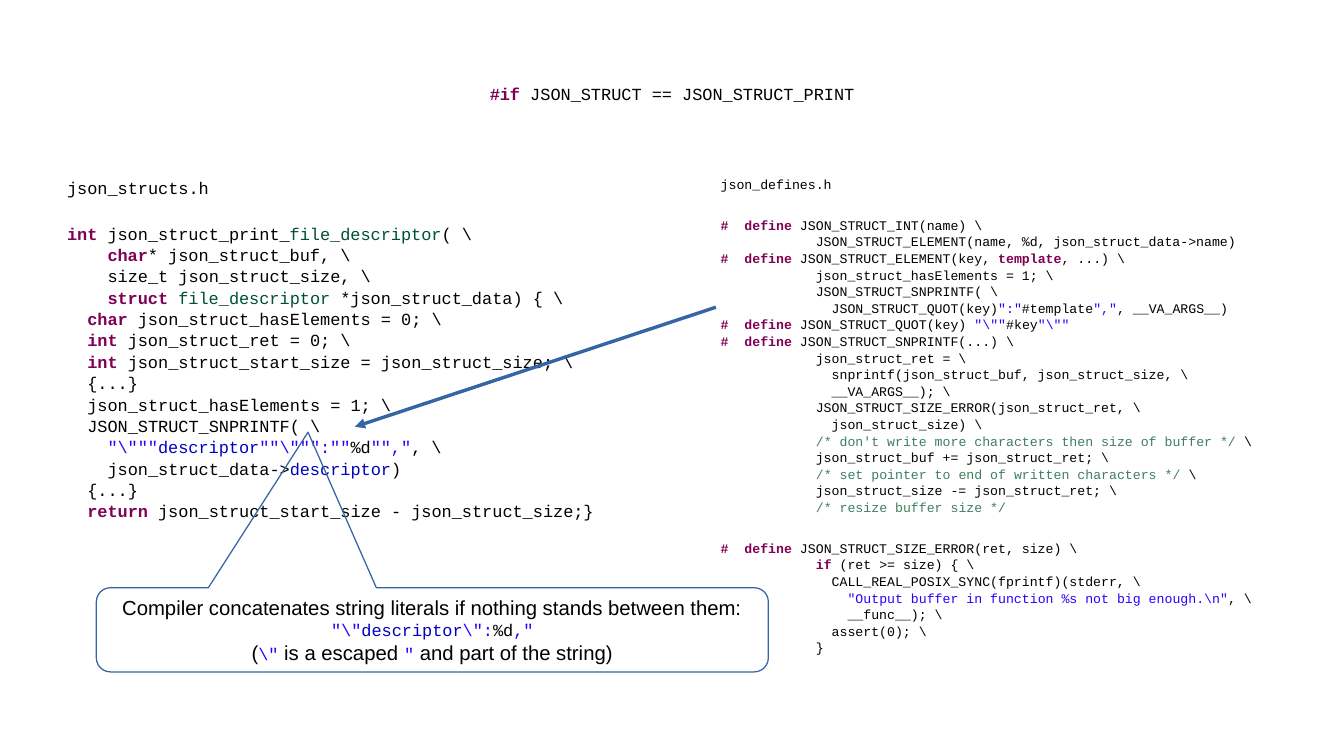
from lxml.etree import SubElement
from pptx import Presentation
from pptx.dml.color import RGBColor
from pptx.enum.shapes import MSO_CONNECTOR, MSO_SHAPE
from pptx.enum.text import MSO_ANCHOR, PP_ALIGN
from pptx.oxml.ns import qn
from pptx.util import Inches, Pt

# Content: "§" and a letter switch the style of the text that follows;
# each paragraph is a tuple of code blocks
TITLE = ("§k#if§n JSON_STRUCT == JSON_STRUCT_PRINT",)

STRUCTS = [("§njson_structs.h",), (r'''§kint §njson_struct_print_§tfile_descriptor§n( \
    §kchar§n* json_struct_buf, \
    size_t json_struct_size, \
    §kstruct §tfile_descriptor§n *json_struct_data) { \
  §kchar §njson_struct_hasElements = 0; \
  §kint §njson_struct_ret = 0; \
  §kint §njson_struct_start_size = json_struct_size; \
  {...}''', r'''§n  json_struct_hasElements = 1; \
  JSON_STRUCT_SNPRINTF( \
    §s"\"""§fdescriptor§s""\""":""§n%d§s"","§n, \
    json_struct_data->§fdescriptor§n)
  {...}
  §kreturn §njson_struct_start_size - json_struct_size;}''')]

DEFINES = [("§njson_defines.h",), (r'''§k#  define§n JSON_STRUCT_INT(name) \
            JSON_STRUCT_ELEMENT(name, %d, json_struct_data->name)
§k#  define§n JSON_STRUCT_ELEMENT(key, §ktemplate§n, ...) \
            json_struct_hasElements = 1; \
            JSON_STRUCT_SNPRINTF( \
              JSON_STRUCT_QUOT(key)§s":"§n#template§s","§n, __VA_ARGS__)
§k#  define§n JSON_STRUCT_QUOT(key) §s"\""§n#key§s"\""''',
                                    r'''§k#  define§n JSON_STRUCT_SNPRINTF(...) \
            json_struct_ret = \
              snprintf(json_struct_buf, json_struct_size, \
              __VA_ARGS__); \
            JSON_STRUCT_SIZE_ERROR(json_struct_ret, \
              json_struct_size) \
            §c/* don't write more characters then size of buffer */§n \
            json_struct_buf += json_struct_ret; \
            §c/* set pointer to end of written characters */§n \
            json_struct_size -= json_struct_ret; \
            §c/* resize buffer size */'''),
           (r'''§k#  define§n JSON_STRUCT_SIZE_ERROR(ret, size) \
            §kif§n (ret >= size) { \
              CALL_REAL_POSIX_SYNC(fprintf)(stderr, \
                §s"Output buffer in function %s not big enough.\n"§n, \
                __func__); \
              assert(0); \
            }''',)]

NOTE = (r'''§aCompiler concatenates string literals if nothing stands between them:
§s"\"§fdescriptor§s\":§n%d§s,"
§a(§s\"§a is a escaped §s"§a and part of the string)''',)

# Formats
COLORS = {"k": "7F0055", "n": "000000", "t": "005032", "s": "2A00FF",
          "f": "0000C0", "c": "3F7F5F", "a": "000000"}
BLUE = "3465A4"
CODE, PROSE = "Courier New", "Arial"
FRAME = dict(margin_left=0, margin_top=0, margin_right=0, margin_bottom=0,
             word_wrap=True)


def paint(color, code):
    color.rgb = RGBColor.from_string(code)


def apply(item, **values):
    for name, value in values.items():
        setattr(item, name, value)


def add_break(para, size):
    para.add_line_break()
    mark = SubElement(para._p[-1], qn("a:rPr"), sz=str(round(size * 100)))
    SubElement(mark, qn("a:latin"), typeface=CODE)


def write(para, text, size):
    for part in text.split("§")[1:]:
        key, body = part[0], part[1:]
        prose = key == "a"
        for row, line in enumerate(body.split("\n")):
            if row:
                add_break(para, size)
            if line:
                run = para.add_run()
                run.text = line
                apply(run.font, name=PROSE if prose else CODE,
                      size=Pt(12 if prose else size), bold=key == "k")
                paint(run.font.color, COLORS[key])


def fill(frame, texts, size, align=PP_ALIGN.LEFT, pitch=1.0):
    for i, blocks in enumerate(texts):
        para = frame.add_paragraph() if i else frame.paragraphs[0]
        apply(para, alignment=align, line_spacing=pitch,
              space_before=Pt(14.2 if i else 0))
        write(para, "\n".join(blocks), size)


deck = Presentation()
apply(deck, slide_width=Inches(11.02), slide_height=Inches(6.2))
slide = deck.slides.add_slide(deck.slide_layouts[5])
shapes = slide.shapes

# Title
title = shapes.title
apply(title, left=Inches(0.55), top=Inches(0.25),
      width=Inches(9.92), height=Inches(1.04))
apply(title.text_frame, **FRAME, vertical_anchor=MSO_ANCHOR.MIDDLE)
fill(title.text_frame, [TITLE], 10, PP_ALIGN.CENTER)

# Code columns
for left, top, width, texts, size in [(0.55, 1.45, 4.96, STRUCTS, 10),
                                      (5.91, 1.44, 4.57, DEFINES, 7.8)]:
    box = shapes.add_textbox(Inches(left), Inches(top), Inches(width), Inches(3.6))
    apply(box.text_frame, **FRAME)
    fill(box.text_frame, texts, size, pitch=1.05)

# Arrow from the macro to its expansion
arrow = shapes.add_connector(MSO_CONNECTOR.STRAIGHT, Inches(5.87), Inches(2.52),
                             Inches(2.91), Inches(3.5))
paint(arrow.line.color, BLUE)
arrow.line.width = Pt(0)
SubElement(arrow.line._get_or_add_ln(), qn("a:tailEnd"), type="triangle")
SubElement(arrow._element.spPr, qn("a:effectLst"))

# Callout
note = shapes.add_shape(MSO_SHAPE.ROUNDED_RECTANGULAR_CALLOUT, Inches(0.79),
                        Inches(4.82), Inches(5.51), Inches(0.69))
for i, value in enumerate((-0.185, -2.349, 0.167)):
    note.adjustments[i] = value
note.shadow.inherit = False
note.fill.background()
paint(note.line.color, BLUE)
note.line.width = Pt(0)
apply(note.text_frame, word_wrap=False, vertical_anchor=MSO_ANCHOR.MIDDLE)
fill(note.text_frame, [NOTE], 10, PP_ALIGN.CENTER)

deck.save("out.pptx")
